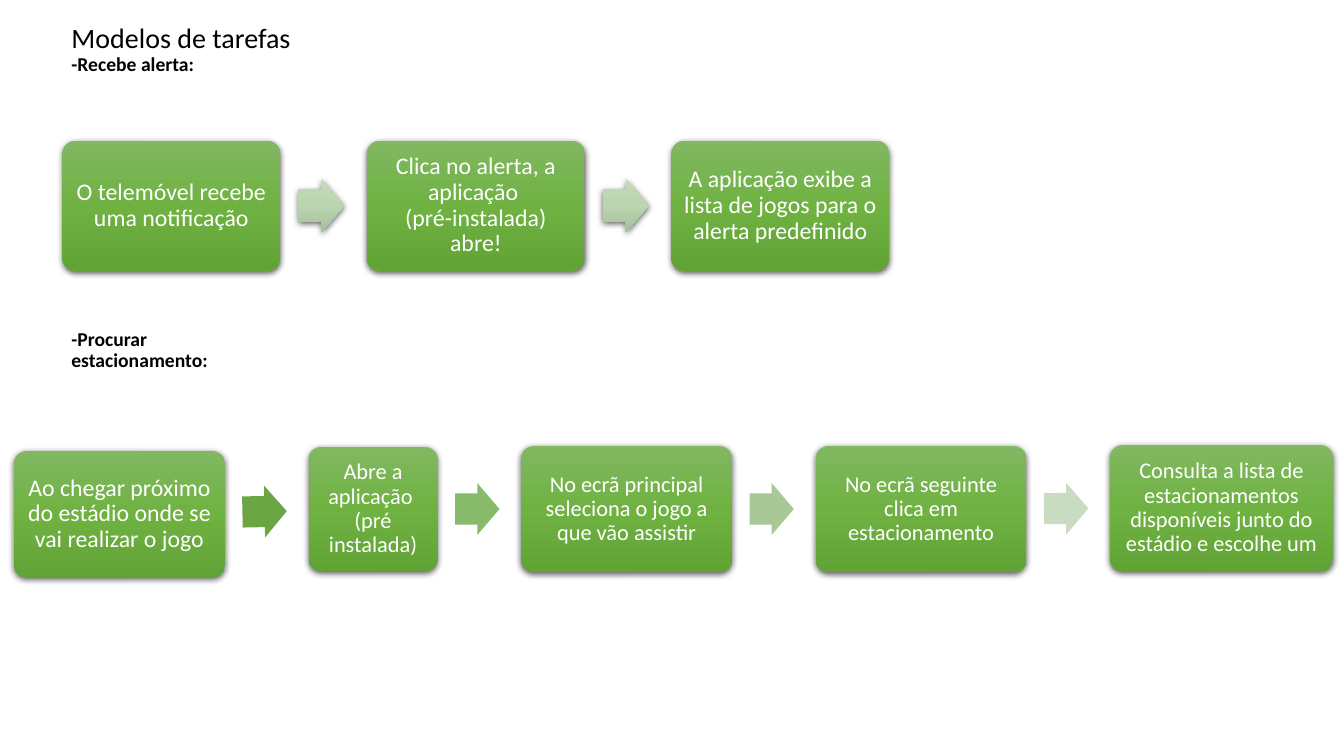
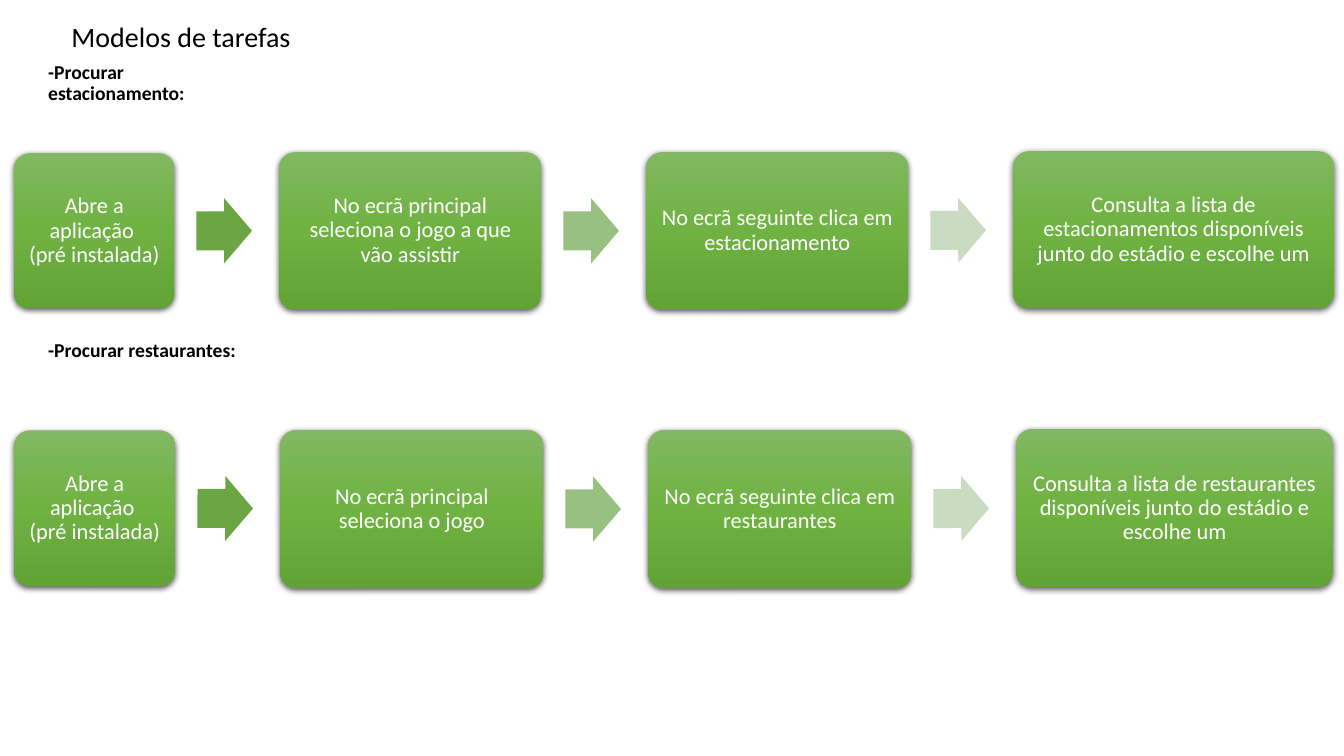
from copy import deepcopy
from math import atan2, degrees

from lxml.etree import SubElement
from pptx import Presentation
from pptx.dml.color import RGBColor
from pptx.enum.shapes import MSO_SHAPE
from pptx.enum.text import MSO_ANCHOR, PP_ALIGN
from pptx.oxml.ns import qn
from pptx.util import Inches, Pt


class Theme:
    font = "Calibri"
    ink = RGBColor.from_string("000000")
    step_ink = RGBColor.from_string("FFFFFF")
    step_fill = ("81B861", "6FB242", "62A336")
    pale_arrow = ("C4D9BB", "BAD5AF", "A5BF99")
    two_arrows = [pale_arrow] * 2
    three_arrows = ["6BA544", "98C181", "C9DBC1"]
    four_arrows = ["6BA544", "88BA6B", "A8C997", "C9DBC1"]
    title_size, subtitle_size = 20, 14
    line_spacing = 0.9


def add_block(slide, preset, left, middle, width, height, fill):
    """Add a shape centred on middle; three colours give a shaded, raised look."""
    block = slide.shapes.add_shape(preset, Inches(left), Inches(middle - height / 2),
                                   Inches(width), Inches(height))
    block.line.fill.background()
    block.shadow.inherit = False
    if isinstance(fill, str):
        block.fill.solid()
        block.fill.fore_color.rgb = RGBColor.from_string(fill)
        return block
    block.fill.gradient()
    block.fill.gradient_angle = 270
    stop_list = block._element.spPr.find(".//" + qn("a:gsLst"))
    stop_list.append(deepcopy(stop_list[0]))
    for stop, position, color in zip(block.fill.gradient_stops, (0, 0.5, 1), fill):
        stop.position = position
        stop.color.rgb = RGBColor.from_string(color)
    shadow = SubElement(block._element.spPr.find(qn("a:effectLst")), qn("a:outerShdw"),
                        blurRad=str(Pt(4.5)), dist=str(Pt(1.5)), dir="5400000",
                        algn="ctr", rotWithShape="0")
    shadow_color = SubElement(shadow, qn("a:srgbClr"), val="000000")
    SubElement(shadow_color, qn("a:alpha"), val="63000")
    return block


def write(frame, lines, color, align):
    """Fill a text frame with (text, size, bold) paragraphs."""
    frame.word_wrap = True
    frame.vertical_anchor = MSO_ANCHOR.MIDDLE
    for number, (text, size, bold) in enumerate(lines):
        paragraph = frame.add_paragraph() if number else frame.paragraphs[0]
        paragraph.text = text
        paragraph.alignment = align
        paragraph.line_spacing = Theme.line_spacing
        paragraph.font.name = Theme.font
        paragraph.font.size = Pt(size)
        paragraph.font.bold = bold
        paragraph.font.color.rgb = color


# Content
title = ("Modelos de tarefas", Theme.title_size, False)
alert, parking, restaurants = [
    (text, Theme.subtitle_size, True)
    for text in ("-Recebe alerta:", "-Procurar estacionamento:", "-Procurar restaurantes:")]
open_app = "Abre a aplicação \n(pré instalada)"
choose_game = "No ecrã principal seleciona o jogo a que vão assistir"
click_parking = "No ecrã seguinte clica em estacionamento"
choose_parking = ("Consulta a lista de estacionamentos disponíveis "
                  "junto do estádio e escolhe um")

# Headings: left, top, width, height, lines
# Flows: left, gap, arrow fills, steps of (width, height, middle, size, text)
slides = [
    {"headings": [(0.61, 0, 3.02, 0.99, [title, alert]),
                  (0.61, 3.21, 2.34, 0.54, [parking])],
     "flows": [
         (0.62, 0.86, Theme.two_arrows, [
             (2.16, 1.29, 2.04, 17, "O telemóvel recebe uma notificação"),
             (2.16, 1.29, 2.04, 17, "Clica no alerta, a aplicação \n(pré-instalada) abre!"),
             (2.16, 1.29, 2.04, 17,
              "A aplicação exibe a lista de jogos para o alerta predefinido")]),
         (0.14, 0.83, Theme.four_arrows, [
             (2.09, 1.25, 5.1, 17, "Ao chegar próximo do estádio onde se vai realizar o jogo"),
             (1.28, 1.23, 5.05, 16, open_app),
             (2.09, 1.25, 5.05, 16, choose_game),
             (2.09, 1.25, 5.05, 16, click_parking),
             (2.21, 1.25, 5.04, 16, choose_parking)])]},
    {"headings": [(0.61, 0, 3.02, 0.76, [title]),
                  (0.38, 0.56, 2.34, 0.54, [parking]),
                  (0.38, 3.21, 2.34, 0.54, [restaurants])],
     "flows": [
         (0.14, 1.04, Theme.three_arrows, [
             (1.59, 1.54, 2.29, 16, open_app),
             (2.6, 1.56, 2.29, 16, choose_game),
             (2.6, 1.56, 2.29, 16, click_parking),
             (3.18, 1.56, 2.28, 16, choose_parking)]),
         (0.14, 1.04, Theme.three_arrows, [
             (1.6, 1.54, 5.04, 16, open_app),
             (2.61, 1.57, 5.05, 16, "No ecrã principal seleciona o jogo"),
             (2.61, 1.57, 5.05, 16, "No ecrã seguinte clica em restaurantes"),
             (3.14, 1.57, 5.04, 16,
              "Consulta a lista de restaurantes disponíveis junto do estádio e escolhe um")])]},
]

deck = Presentation()
deck.slide_width, deck.slide_height = Inches(13.33), Inches(7.5)

for content in slides:
    slide = deck.slides.add_slide(deck.slide_layouts[6])

    # Title and task names
    for *box, lines in content["headings"]:
        heading = slide.shapes.add_textbox(*map(Inches, box))
        write(heading.text_frame, lines, Theme.ink, PP_ALIGN.LEFT)

    # Task flows
    for left, gap, arrow_fills, steps in content["flows"]:
        for number, (width, height, middle, size, text) in enumerate(steps):
            step = add_block(slide, MSO_SHAPE.ROUNDED_RECTANGLE, left, middle,
                             width, height, Theme.step_fill)
            step.adjustments[0] = 0.1
            frame = step.text_frame
            frame.margin_left = frame.margin_right = Inches(0.07)
            frame.margin_top = frame.margin_bottom = Inches(0.07)
            write(frame, [(text, size, False)], Theme.step_ink, PP_ALIGN.CENTER)

            # Arrow pointing from this step's centre to the next one's
            if number < len(arrow_fills):
                next_width, _, next_middle, *_ = steps[number + 1]
                arrow = add_block(slide, MSO_SHAPE.RIGHT_ARROW, left + width + 0.21 * gap,
                                  (middle + next_middle) / 2, 0.53 * gap, 0.62 * gap,
                                  arrow_fills[number])
                arrow.adjustments[0], arrow.adjustments[1] = 0.6, 0.5
                run = (width + next_width) / 2 + gap
                arrow.rotation = degrees(atan2(next_middle - middle, run))
            left += width + gap

deck.save("out.pptx")
